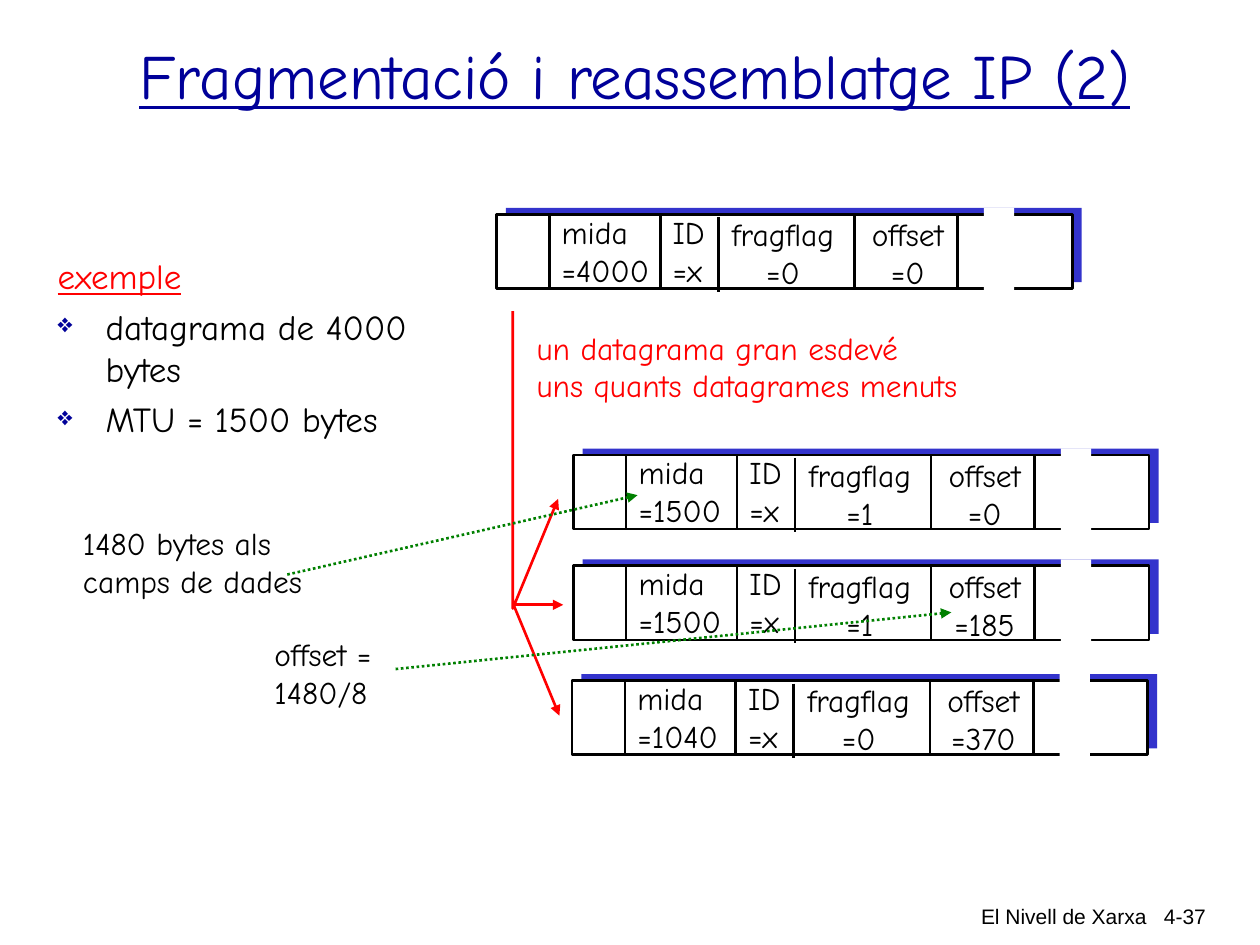
from lxml.etree import SubElement
from pptx import Presentation
from pptx.dml.color import RGBColor
from pptx.enum.dml import MSO_LINE
from pptx.enum.shapes import MSO_CONNECTOR, MSO_SHAPE
from pptx.enum.text import MSO_ANCHOR, MSO_AUTO_SIZE, PP_ALIGN
from pptx.oxml.ns import qn
from pptx.util import Inches, Pt

COLUMNS, ROWS = 100, 75
UNIT = Inches(0.1)
BLACK, WHITE, RED, GREEN = "000000", "FFFFFF", "FF0000", "008000"
NAVY, BLUE = "000099", "3333CC"
BODY = {"name": "Comic Neue", "size": Pt(18)}
FOOTER = {"name": "Arial", "size": Pt(12)}
TITLE = {"name": "Comic Neue", "size": Pt(36), "underline": True}
LIST = {"name": "Comic Neue", "size": Pt(20)}
DATAGRAMS = [
    (39.4, 17, "=4000", "=0", "=0"),
    (45.5, 36.1, "=1500", "=1", "=0"),
    (45.5, 44.9, "=1500", "=1", "=185"),
    (45.4, 54, "=1040", "=0", "=370"),
]
DIVIDERS = [(4.2, 0), (13, 0), (17.6, 0.25), (28.4, 0), (36.6, 0)]


def grid(*values):
    """Turn grid counts into slide lengths."""
    return [round(value * UNIT) for value in values]


def colour(value):
    """Turn a hex string into a colour."""
    return RGBColor.from_string(value)


def apply_format(target, values):
    """Set each attribute named in a dict of format values."""
    for name, value in values.items():
        setattr(target, name, value)


def add_text(slide, place, lines, font, hex_colour=BLACK, align=PP_ALIGN.LEFT,
             wrap=False, anchor=MSO_ANCHOR.TOP):
    """Add a text box with one paragraph per line and return its paragraphs."""
    frame = slide.shapes.add_textbox(*grid(*place)).text_frame
    fit = MSO_AUTO_SIZE.NONE if wrap else MSO_AUTO_SIZE.SHAPE_TO_FIT_TEXT
    apply_format(frame, {"word_wrap": wrap, "auto_size": fit, "vertical_anchor": anchor})
    for index, line in enumerate(lines):
        paragraph = frame.add_paragraph() if index else frame.paragraphs[0]
        paragraph.text = line
        paragraph.alignment = align
        for run in paragraph.runs:
            apply_format(run.font, font)
            run.font.color.rgb = colour(hex_colour)
    return frame.paragraphs


def add_box(slide, place, fill, outlined=False):
    """Add a filled rectangle, with a black outline if asked."""
    shape = slide.shapes.add_shape(MSO_SHAPE.RECTANGLE, *grid(*place))
    shape.shadow.inherit = False
    shape.fill.solid()
    shape.fill.fore_color.rgb = colour(fill)
    if outlined:
        style_line(shape, BLACK)
    else:
        shape.line.fill.background()


def style_line(shape, hex_colour, arrow=False, dash=None):
    """Give a shape's line its colour, dash and arrowhead."""
    apply_format(shape.line, {"width": Pt(1.5), "dash_style": dash})
    shape.line.color.rgb = colour(hex_colour)
    if arrow:
        line = shape._element.spPr.find(qn("a:ln"))
        SubElement(line, qn("a:tailEnd"), type="triangle")


def add_line(slide, ends, hex_colour, arrow=False, dash=None):
    """Add a straight line from one grid point to another."""
    connector = slide.shapes.add_connector(MSO_CONNECTOR.STRAIGHT, *grid(*ends))
    style_line(connector, hex_colour, arrow, dash)
    SubElement(connector._element.spPr, qn("a:effectLst"))


def add_bullet(paragraph):
    """Give a paragraph a small navy diamond bullet."""
    properties = paragraph._p.get_or_add_pPr()
    bullet_colour = SubElement(properties, qn("a:buClr"))
    SubElement(bullet_colour, qn("a:srgbClr"), val=NAVY)
    SubElement(properties, qn("a:buSzPct"), val="75000")
    SubElement(properties, qn("a:buChar"), char="❖")
    properties.set("marL", str(Inches(0.38)))
    properties.set("indent", str(-Inches(0.38)))
    paragraph.space_before = Pt(5)


def add_datagram(slide, left, top, size, flag, offset):
    """Draw a datagram header with its four fields and a gap in its data."""
    add_box(slide, (left + 0.75, top - 0.5, 45.7, 5.9), BLUE)
    add_box(slide, (left, top, 45.7, 5.9), WHITE, outlined=True)
    fields = [
        (13, -0.6, 4.7, "ID", "=x", PP_ALIGN.LEFT),
        (28.8, -0.4, 7.7, "offset", offset, PP_ALIGN.CENTER),
        (17.7, -0.4, 10.1, "fragflag", flag, PP_ALIGN.CENTER),
        (4.2, -0.6, 9, "mida", size, PP_ALIGN.LEFT),
    ]
    for across, down, width, name, value, align in fields:
        add_text(slide, (left + across, top + down, width, 7), [name, value], BODY, align=align)
    for across, down in DIVIDERS:
        x, y = left + across, top + down
        add_line(slide, (x, y, x, y + 5.9), BLACK)
    add_box(slide, (left + 38.7, top - 0.5, 2.4, 6.6), WHITE)


def add_split_arrows(slide):
    """Draw the red trunk that branches to the three fragments."""
    start, *points = [tuple(grid(*point)) for point in [(40.7, 24.7), (40.7, 48.3), (44.3, 39.6)]]
    builder = slide.shapes.build_freeform(*start)
    builder.add_line_segments(points, close=False)
    trunk = builder.convert_to_shape()
    trunk.shadow.inherit = False
    trunk.fill.background()
    style_line(trunk, RED, arrow=True)
    add_line(slide, (40.7, 48, 44.7, 48), RED, arrow=True)
    add_line(slide, (40.8, 48.1, 44.4, 56.8), RED, arrow=True)


def add_example(slide):
    """Write the underlined heading and the bulleted example."""
    heading, *items = add_text(
        slide, (3.6, 19.7, 31, 18.4),
        ["exemple", "datagrama de 4000 bytes", "MTU = 1500 bytes"], LIST, wrap=True)
    for run in heading.runs:
        run.font.underline = True
        run.font.color.rgb = colour(RED)
    for item in items:
        add_bullet(item)


def main():
    """Build the slide and save it."""
    presentation = Presentation()
    presentation.slide_width, presentation.slide_height = grid(COLUMNS, ROWS)
    slide = presentation.slides.add_slide(presentation.slide_layouts[6])
    add_text(slide, (60.3, 71.2, 31.7, 4.1), ["El Nivell de Xarxa"], FOOTER,
             align=PP_ALIGN.RIGHT, wrap=True)
    add_text(slide, (89.3, 71.2, 7.4, 3.8), ["4-37"], FOOTER, align=PP_ALIGN.RIGHT, wrap=True)
    for datagram in DATAGRAMS:
        add_datagram(slide, *datagram)
    add_split_arrows(slide)
    add_text(slide, (41.6, 25.6, 35.5, 7),
             ["un datagrama gran esdevé", "uns quants datagrames menuts"], BODY, RED)
    add_example(slide)
    add_text(slide, (5.6, 41.1, 19.4, 7), ["1480 bytes als\vcamps de dades"], BODY)
    add_line(slide, (22.8, 45.6, 50.6, 39.3), GREEN, arrow=True, dash=MSO_LINE.ROUND_DOT)
    add_text(slide, (20.8, 49.9, 10.2, 7), ["offset =", "1480/8"], BODY)
    add_line(slide, (31.4, 53.1, 75.5, 48.6), GREEN, arrow=True, dash=MSO_LINE.ROUND_DOT)
    add_text(slide, (5.8, 2.5, 89.2, 6.8), ["Fragmentació i reassemblatge IP (2)"], TITLE, NAVY,
             align=PP_ALIGN.CENTER, wrap=True, anchor=MSO_ANCHOR.MIDDLE)
    presentation.save("out.pptx")


if __name__ == "__main__":
    main()
